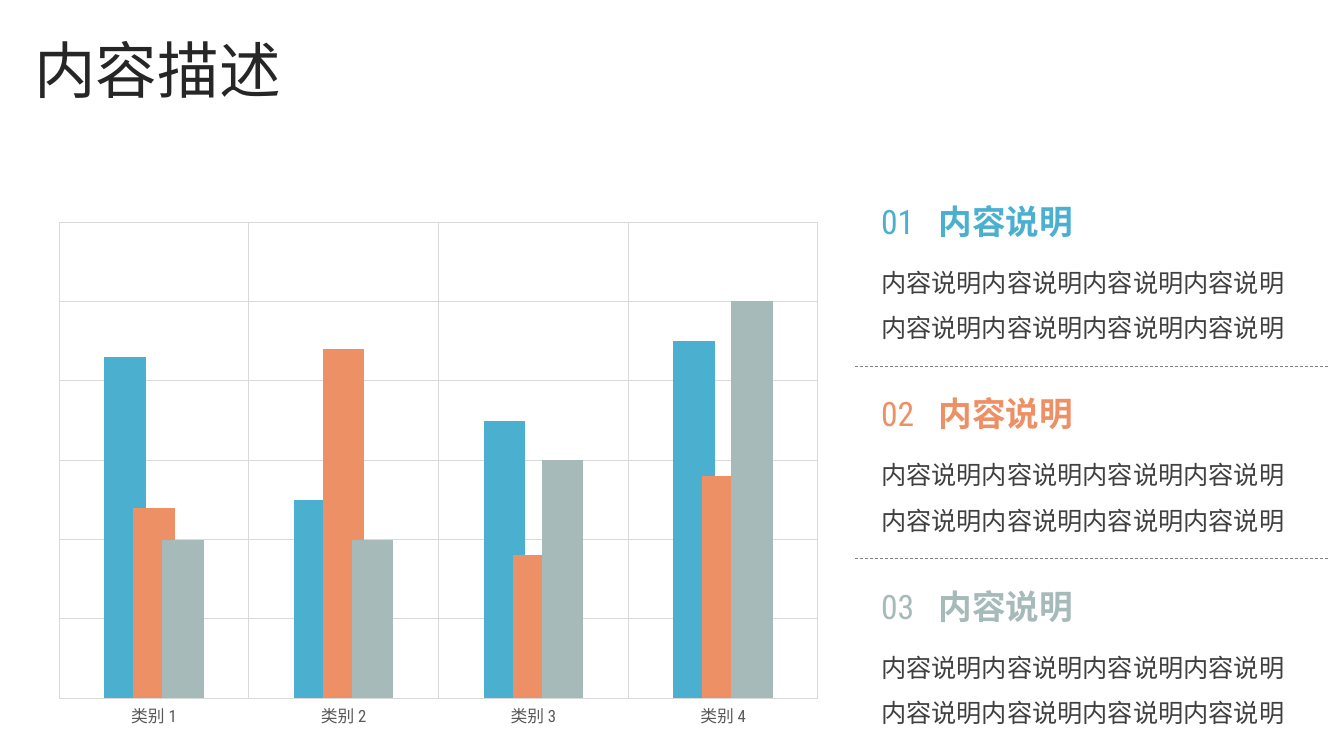
"""Build a slide with a clustered column chart beside three numbered explanations."""
from lxml.etree import SubElement
from pptx import Presentation
from pptx.chart.data import CategoryChartData
from pptx.dml.color import RGBColor
from pptx.enum.chart import XL_CHART_TYPE, XL_TICK_MARK
from pptx.enum.dml import MSO_LINE
from pptx.enum.shapes import MSO_CONNECTOR
from pptx.enum.text import MSO_ANCHOR, MSO_AUTO_SIZE, PP_ALIGN
from pptx.oxml import parse_xml
from pptx.oxml.ns import nsdecls, qn
from pptx.util import Pt

PX = 9144
FONT = "Roboto Condensed"
COLORS = {
    "title": "262626", "body": "404040", "label": "595959", "grid": "D9D9D9",
    "divider": "808080", "blue": "4BB0D0", "orange": "EE9065", "sage": "A6BABA",
}
ACCENTS = ["blue", "orange", "sage"]


def rgb(name):
    return RGBColor.from_string(COLORS[name])


def style(font, size, color):
    font.name = FONT
    font.size = Pt(size)
    font.color.rgb = rgb(color)


deck = Presentation()
deck.slide_width, deck.slide_height = 1333 * PX, 750 * PX
slide = deck.slides.add_slide(deck.slide_layouts[5])

title = slide.shapes.title
title.left, title.top, title.width, title.height = 24 * PX, 0, 1150 * PX, 145 * PX
title.text_frame.text = "内容描述"
title.text_frame.auto_size = MSO_AUTO_SIZE.NONE
title.text_frame.vertical_anchor = MSO_ANCHOR.MIDDLE
heading = title.text_frame.paragraphs[0]
heading.alignment = PP_ALIGN.LEFT
heading.line_spacing = 0.9
style(heading.font, 44, "title")

data = CategoryChartData()
data.categories = [f"类别 {number}" for number in range(1, 5)]
data.add_series("Series 1", (86, 50, 70, 90))
data.add_series("Series 2", (48, 88, 36, 56))
data.add_series("Series 3", (40, 40, 60, 100))
chart = slide.shapes.add_chart(
    XL_CHART_TYPE.COLUMN_CLUSTERED, 43 * PX, 210 * PX, 784 * PX, 522 * PX, data
).chart
chart.has_title = False
chart.has_legend = False
chart.font.name = FONT
chart.font.size = Pt(10)

columns = chart.plots[0]
columns.gap_width = 219
columns.overlap = 30
columns.vary_by_categories = False
for series, accent in zip(columns.series, ACCENTS):
    series.format.fill.solid()
    series.format.fill.fore_color.rgb = rgb(accent)

categories, values = chart.category_axis, chart.value_axis
categories.major_tick_mark = XL_TICK_MARK.NONE
categories.has_major_gridlines = True
style(categories.tick_labels.font, 12, "label")
values.minimum_scale, values.maximum_scale, values.major_unit = 0, 120, 20
values.has_major_gridlines = True
values.visible = False
for rule in (categories, categories.major_gridlines, values.major_gridlines):
    rule.format.line.color.rgb = rgb("grid")
    rule.format.line.width = Pt(0.75)

plot_area = chart.element.find(qn("c:chart")).find(qn("c:plotArea"))
for automatic in plot_area.findall(qn("c:layout")):
    plot_area.remove(automatic)
plot_area.insert(0, parse_xml(
    f'<c:layout {nsdecls("c")}><c:manualLayout><c:layoutTarget val="inner"/>'
    '<c:xMode val="edge"/><c:yMode val="edge"/><c:x val="0.02"/><c:y val="0.02"/>'
    '<c:w val="0.96"/><c:h val="0.905"/></c:manualLayout></c:layout>'
))

for index, accent in enumerate(ACCENTS):
    top = 194 + 191 * index
    section = slide.shapes.add_group_shape()

    caption = section.shapes.add_textbox(864 * PX, top * PX, 252 * PX, 50 * PX).text_frame
    caption.word_wrap = True
    caption.auto_size = MSO_AUTO_SIZE.SHAPE_TO_FIT_TEXT
    line = caption.paragraphs[0]
    tabs = SubElement(line._p.get_or_add_pPr(), qn("a:tabLst"))
    SubElement(tabs, qn("a:tab"), pos=str(57 * PX), algn="l")
    style(line.font, 24, accent)
    line.add_run().text = f"{index + 1:02}\t"
    label = line.add_run()
    label.text = "内容说明"
    label.font.bold = True

    details = section.shapes.add_textbox(864 * PX, (top + 51) * PX, 424 * PX, 95 * PX).text_frame
    details.word_wrap = False
    details.auto_size = MSO_AUTO_SIZE.SHAPE_TO_FIT_TEXT
    details.text = "\n".join(["内容说明" * 4] * 2)
    for line in details.paragraphs:
        line.line_spacing = 1.5
        style(line.font, 18, "body")

    if index < len(ACCENTS) - 1:
        y = (top + 169) * PX
        divider = slide.shapes.add_connector(MSO_CONNECTOR.STRAIGHT, 848 * PX, y, 1318 * PX, y)
        divider.line.color.rgb = rgb("divider")
        divider.line.width = Pt(0.5)
        divider.line.dash_style = MSO_LINE.DASH
        SubElement(divider.element.spPr, qn("a:effectLst"))

deck.save("out.pptx")
